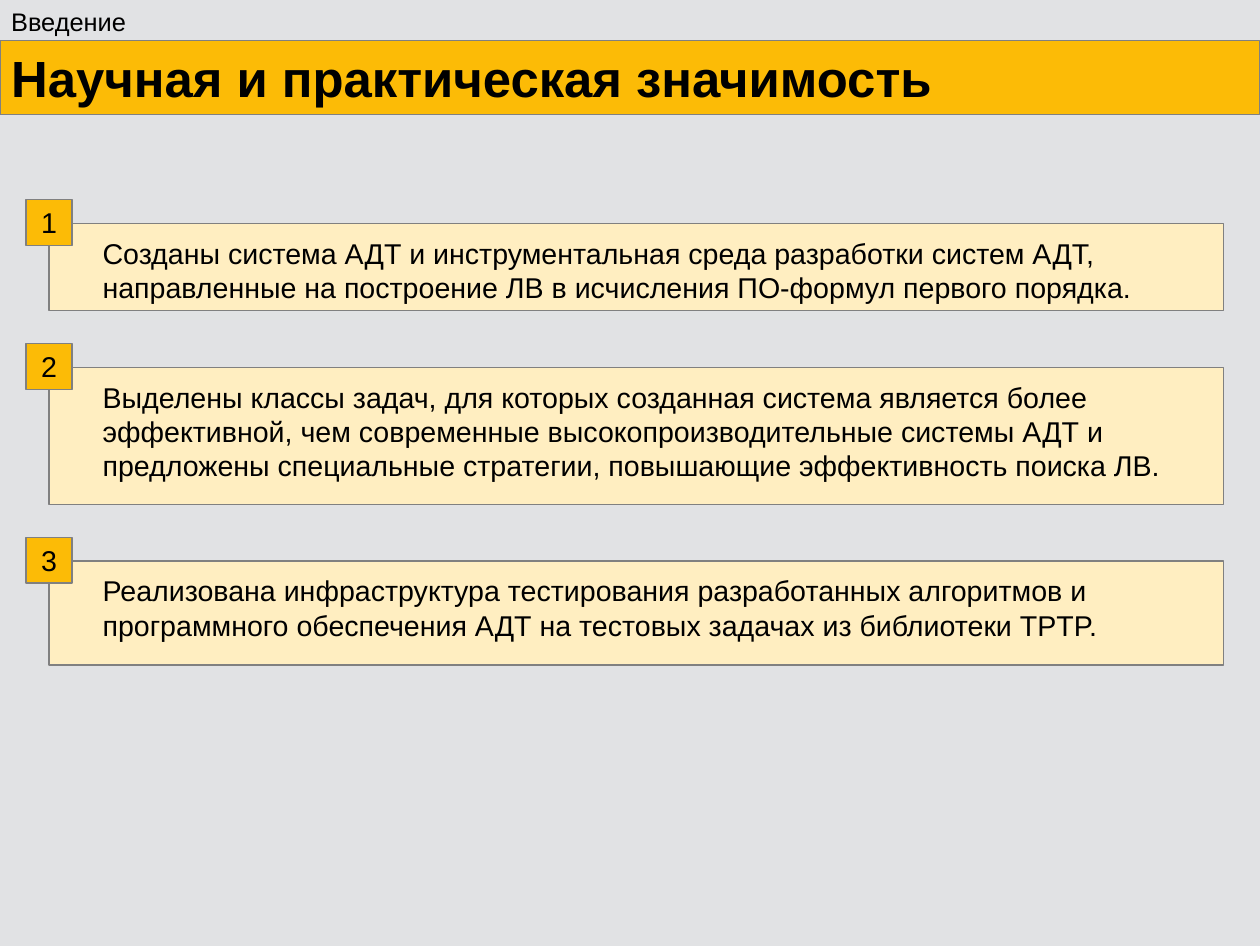
"""Build the slide on scientific and practical significance."""
from pptx import Presentation
from pptx.dml.color import RGBColor
from pptx.enum import shapes, text
from pptx.util import Cm, Pt

BACKGROUND = RGBColor(0xE1, 0xE2, 0xE4)
AMBER = RGBColor(0xFC, 0xBB, 0x06)
CREAM = RGBColor(0xFF, 0xEE, 0xC1)
GRAY = RGBColor(0x80, 0x80, 0x80)
BLACK = RGBColor(0, 0, 0)

WIDTH, HEIGHT = 27.99, 21.01
BADGE = 1.02
RESULTS = [
    (4.96, 1.93, 23.4, [
        "Созданы система АДТ и инструментальная среда разработки систем АДТ,",
        "направленные на построение ЛВ в исчисления ПО-формул первого порядка."]),
    (8.16, 3.05, 24.05, [
        "Выделены классы задач, для которых созданная система является более",
        "эффективной, чем современные высокопроизводительные системы АДТ и",
        "предложены специальные стратегии, повышающие эффективность поиска ЛВ."]),
    (12.46, 2.31, 22.8, [
        "Реализована инфраструктура тестирования разработанных алгоритмов и",
        "программного обеспечения АДТ на тестовых задачах из библиотеки TPTP."]),
]


def write(sp, lines, size, bold=False, align=text.PP_ALIGN.LEFT):
    """Fill a shape with unwrapped lines, one paragraph each."""
    tf = sp.text_frame
    tf.word_wrap = False
    for i, line in enumerate(lines):
        p = tf.paragraphs[0] if i == 0 else tf.add_paragraph()
        p.text = line
        p.alignment = align
        p.font.name = "Arial"
        p.font.size = Pt(size)
        p.font.bold = bold
        p.font.color.rgb = BLACK


def add_rect(s, x, y, w, h, color):
    """Add a flat rectangle with a hairline border."""
    sp = s.shapes.add_shape(
        shapes.MSO_SHAPE.RECTANGLE, Cm(x), Cm(y), Cm(w), Cm(h))
    sp.shadow.inherit = False
    sp.fill.solid()
    sp.fill.fore_color.rgb = color
    sp.line.color.rgb = GRAY
    sp.line.width = Pt(0)
    sp.text_frame.vertical_anchor = text.MSO_ANCHOR.MIDDLE
    return sp


def add_label(s, x, y, w, h, lines, size):
    """Add a text box that grows with its lines."""
    sp = s.shapes.add_textbox(Cm(x), Cm(y), Cm(w), Cm(h))
    write(sp, lines, size)
    sp.text_frame.auto_size = text.MSO_AUTO_SIZE.SHAPE_TO_FIT_TEXT


def add_header(s, x, y, w):
    """Add the section name and the title band below it."""
    band = add_rect(s, x, y + 0.9, w, 1.65, AMBER)
    write(band, ["Научная и практическая значимость"], 32, bold=True)
    add_label(s, x, y + 0.02, 3.05, 0.9, ["Введение"], 16)


def add_result(s, x, y, w, h, text_width, number, lines):
    """Add a result card with a number badge on its top left corner."""
    add_rect(s, x, y, w, h, CREAM)
    add_label(s, x + 0.94, y + 0.15, text_width, 0.25 + 0.71 * len(lines), lines, 18)
    badge = add_rect(s, x - BADGE / 2, y - BADGE / 2 - 0.02, BADGE, BADGE, AMBER)
    write(badge, [str(number)], 18, align=text.PP_ALIGN.CENTER)


def main():
    """Build and save the slide."""
    prs = Presentation()
    prs.slide_width, prs.slide_height = Cm(WIDTH), Cm(HEIGHT)
    s = prs.slides.add_slide(prs.slide_layouts[6])
    s.background.fill.solid()
    s.background.fill.fore_color.rgb = BACKGROUND
    add_header(s, 0, 0, WIDTH)
    for number, (y, h, text_width, lines) in enumerate(RESULTS, 1):
        add_result(s, 1.09, y, 26.09, h, text_width, number, lines)
    prs.save("out.pptx")


if __name__ == "__main__":
    main()
